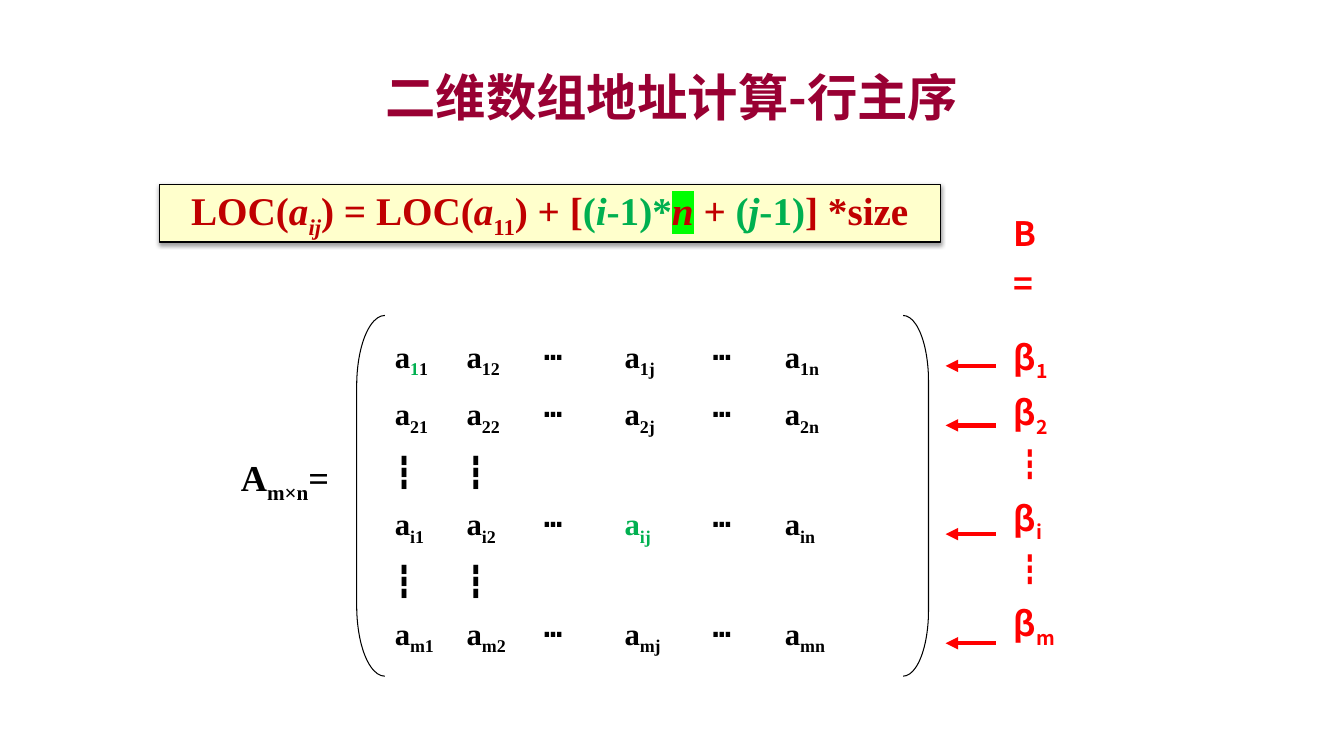
from lxml.etree import SubElement
from pptx import Presentation
from pptx.dml.color import RGBColor
from pptx.enum.shapes import MSO_CONNECTOR as Connector, MSO_SHAPE as Shape
from pptx.enum.text import MSO_ANCHOR as Anchor, PP_ALIGN as Align
from pptx.oxml import parse_xml
from pptx.oxml.ns import nsdecls, qn
from pptx.util import Cm, Pt

SERIF, SANS = "Times New Roman", "Noto Sans CJK SC"
BLACK, RED, GREEN = "000000", "FF0000", "00B050"
DARK_RED, MAROON, CREAM = "C00000", "990033", "FFFFCC"
COLUMN_STOPS = (1.81, 3.76, 5.79, 8.01, 9.83)


def rgb(code):
    return RGBColor.from_string(code)


class SlideBuilder:
    def __init__(self, page, line_width=0.75):
        self.page = page
        self.line_width = Pt(line_width)

    def add_spans(self, para, spans, size, color, font=SERIF, align=None):
        """Fill a paragraph with (text, marks) spans: _ subscript, i italic, g green, h highlight."""
        para.alignment = align
        style = para.font
        style.size, style.bold, style.name = Pt(size), True, font
        style.color.rgb = rgb(color)
        if font == SANS:
            defaults = para._p.pPr.find(qn("a:defRPr"))
            SubElement(defaults, qn("a:ea")).set("typeface", font)
        for text, marks in spans:
            span = para.add_run()
            span.text = text
            properties = span._r.get_or_add_rPr()
            if "_" in marks:
                properties.set("baseline", "-25000")
            if "i" in marks:
                span.font.italic = True
            if "g" in marks:
                span.font.color.rgb = rgb(GREEN)
            if "h" in marks:
                highlight = SubElement(properties, qn("a:highlight"))
                SubElement(highlight, qn("a:srgbClr")).set("val", "00FF00")

    def title(self, text, *place):
        box = self.page.shapes.title
        box.left, box.top, box.width, box.height = map(Cm, place)
        box.text_frame.vertical_anchor = Anchor.MIDDLE
        self.add_spans(box.text_frame.paragraphs[0], [(text, "")], 36, MAROON, SANS, Align.CENTER)

    def text(self, rows, place, size, color=BLACK, font=SERIF, gap=0, spacing=None, stops=()):
        frame = self.page.shapes.add_textbox(*map(Cm, place)).text_frame
        frame.word_wrap = True
        for index, spans in enumerate(rows):
            para = frame.add_paragraph() if index else frame.paragraphs[0]
            self.add_spans(para, spans, size, color, font)
            if index:
                para.space_before = Pt(gap)
            if spacing:
                para.line_spacing = spacing
            if stops:
                self.add_stops(para, stops)

    def add_stops(self, para, stops):
        tabs = parse_xml(f"<a:tabLst {nsdecls('a')}/>")
        for stop in stops:
            tab = SubElement(tabs, qn("a:tab"))
            tab.set("pos", str(Cm(stop)))
            tab.set("algn", "l")
        para._p.pPr.find(qn("a:defRPr")).addprevious(tabs)

    def shape(self, kind, *place):
        shape = self.page.shapes.add_shape(kind, *map(Cm, place))
        shape.shadow.inherit = False
        shape.fill.background()
        shape.line.color.rgb = rgb(BLACK)
        shape.line.width = self.line_width
        return shape

    def bracket(self, kind, curve, *place):
        self.shape(kind, *place).adjustments[0] = curve

    def formula(self, spans, *place):
        box = self.shape(Shape.RECTANGLE, *place)
        box.fill.solid()
        box.fill.fore_color.rgb = rgb(CREAM)
        effects = box._element.spPr.find(qn("a:effectLst"))
        effects.append(parse_xml(
            f'<a:outerShdw {nsdecls("a")} blurRad="40000" dist="20000" dir="5400000" '
            'rotWithShape="0"><a:srgbClr val="000000"><a:alpha val="38000"/>'
            '</a:srgbClr></a:outerShdw>'))
        box.text_frame.vertical_anchor = Anchor.MIDDLE
        self.add_spans(box.text_frame.paragraphs[0], spans, 28, DARK_RED, align=Align.CENTER)

    def arrow(self, start, end, y):
        arrow = self.page.shapes.add_connector(
            Connector.STRAIGHT, Cm(start), Cm(y), Cm(end), Cm(y))
        arrow.line.color.rgb = rgb(RED)
        arrow.line.width = Pt(3)
        properties = arrow._element.spPr
        SubElement(properties.find(qn("a:ln")), qn("a:tailEnd")).set("type", "triangle")
        SubElement(properties, qn("a:effectLst"))


def matrix_row(row):
    """Spans of one matrix row; None stands for the row of vertical dots."""
    if row is None:
        return [("┇\t┇", "")]
    spans = []
    for column, lead in (("1", ""), ("2", "\t"), ("j", "\t┅\t"), ("n", "\t┅\t")):
        target = "g" if row + column == "ij" else ""
        first = "g" if row + column == "11" else target
        if lead:
            spans.append((lead, ""))
        spans += [("a", target), (row, "_" + first), (column, "_" + target)]
    return spans


def main():
    deck = Presentation()
    deck.slide_width, deck.slide_height = Cm(33.87), Cm(19.05)
    builder = SlideBuilder(deck.slides.add_slide(deck.slide_layouts[5]))
    builder.title("二维数组地址计算-行主序", 2.54, 1.47, 28.78, 1.9)

    rows = ("1", "2", None, "i", None, "m")
    builder.bracket(Shape.LEFT_BRACKET, 2.5, 8.99, 7.95, 0.71, 9.09)
    builder.text([[("A", ""), ("m×n", "_"), ("=", "")]], (5.82, 11.35, 3.18, 1.37), 26)
    builder.text([matrix_row(row) for row in rows], (9.7, 8.38, 13.26, 8.26), 22,
                 gap=11, stops=COLUMN_STOPS)
    builder.bracket(Shape.RIGHT_BRACKET, 2.58, 22.76, 7.95, 0.64, 9.09)

    vector = [[("β", ""), (row, "_")] if row else [("┇", "")] for row in rows]
    for lines, place in (([[("B", "")], [("=", "")]], (25.3, 5.36, 1.47, 2.82)),
                         (vector, (25.3, 8.38, 2.74, 8.56))):
        builder.text(lines, place, 24, RED, SANS, gap=10, spacing=0.9)
    for y in (9.22, 10.72, 13.46, 16.21):
        builder.arrow(25.1, 23.83, y)

    builder.formula([
        ("LOC(", ""), ("a", "i"), ("ij", "i_"), (") = LOC(", ""), ("a", "i"), ("11", "_"),
        (") + [", ""), ("(", "g"), ("i", "gi"), ("-1)*", "g"), ("n", "ih"), (" ", "i"),
        ("+ ", ""), ("(", "g"), ("j", "gi"), ("-1)", "g"), ("] *size", ""),
    ], 4.01, 4.65, 19.69, 1.45)
    deck.save("out.pptx")


if __name__ == "__main__":
    main()
